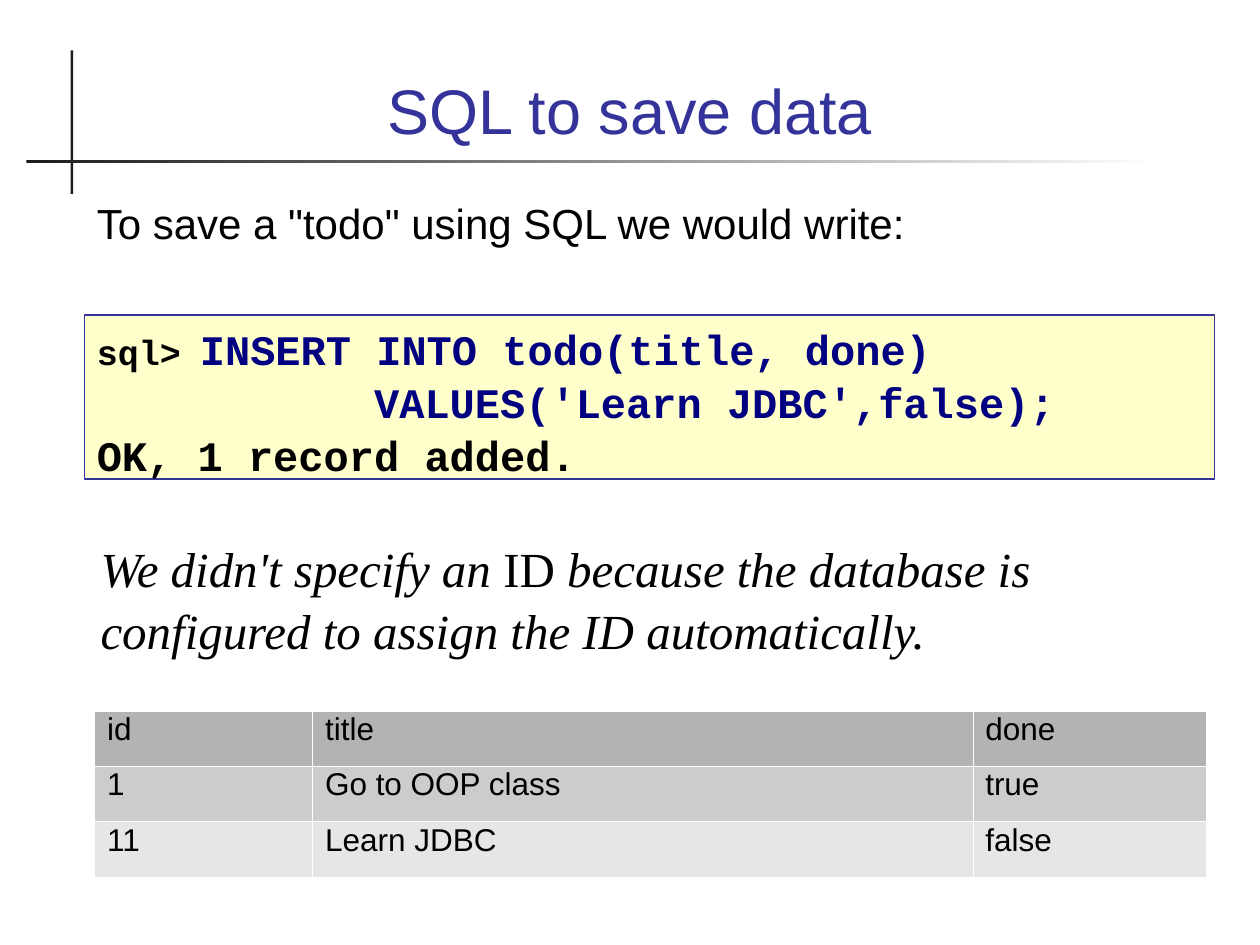
from lxml import etree
from pptx import Presentation
from pptx.dml.color import RGBColor
from pptx.enum.shapes import MSO_SHAPE
from pptx.enum.text import MSO_ANCHOR, PP_ALIGN
from pptx.oxml.ns import qn
from pptx.util import Inches, Pt

RECTANGLE = MSO_SHAPE.RECTANGLE
TOP, BOTTOM = MSO_ANCHOR.TOP, MSO_ANCHOR.BOTTOM
LEFT, CENTER = PP_ALIGN.LEFT, PP_ALIGN.CENTER

WHITE = RGBColor(0xFF, 0xFF, 0xFF)
BLACK = RGBColor(0, 0, 0)
CHARCOAL = RGBColor(0x1C, 0x1C, 0x1C)
INDIGO = RGBColor(0x33, 0x33, 0x99)
NAVY = RGBColor(0, 0, 0x80)
CREAM = RGBColor(0xFF, 0xFF, 0xCC)
ROW_FILLS = [RGBColor(level, level, level) for level in (0xB3, 0xCC, 0xE6)]

SANS, MONO, SERIF = "Arial", "Courier New", "Times New Roman"


class SlideWriter:
    line_spacing = 1.05
    table_spacing = 0.83
    border_width = Pt(0.06)

    def __init__(self, page):
        self.page = page

    def bar(self, left, top, width, height, fades=False):
        box = self.page.shapes.add_shape(
            RECTANGLE, Inches(left), Inches(top), Inches(width), Inches(height))
        box.shadow.inherit = False
        box.line.fill.background()
        if fades:
            box.fill.gradient()
            box.fill.gradient_angle = 0
            for stop, color in zip(box.fill.gradient_stops, (CHARCOAL, WHITE)):
                stop.color.rgb = color
        else:
            box.fill.solid()
            box.fill.fore_color.rgb = CHARCOAL

    def text(self, left, top, width, height, paragraphs, font, size,
             color=BLACK, align=LEFT, anchor=TOP, bold=False):
        """Each paragraph is a list of (words, font overrides) spans."""
        box = self.page.shapes.add_textbox(
            Inches(left), Inches(top), Inches(width), Inches(height))
        frame = box.text_frame
        frame.word_wrap = True
        frame.vertical_anchor = anchor
        for index, spans in enumerate(paragraphs):
            para = frame.paragraphs[0] if index == 0 else frame.add_paragraph()
            para.alignment = align
            para.line_spacing = self.line_spacing
            self.style(para.font, font, size, color, bold)
            for words, overrides in spans:
                span = para.add_run()
                span.text = words
                self.style(span.font, **overrides)
        return box

    def code(self, left, top, width, height, paragraphs):
        box = self.text(left, top, width, height, paragraphs, MONO, 24, bold=True)
        box.fill.solid()
        box.fill.fore_color.rgb = CREAM
        box.line.color.rgb = INDIGO
        box.line.width = Pt(1)

    def table(self, left, top, widths, row_height, rows):
        frame = self.page.shapes.add_table(
            len(rows), len(widths), Inches(left), Inches(top),
            Inches(sum(widths)), Inches(row_height * len(rows)))
        table = frame.table
        table.first_row = table.horz_banding = False
        for column, width in zip(table.columns, widths):
            column.width = Inches(width)
        for row, values, fill in zip(table.rows, rows, ROW_FILLS):
            row.height = Inches(row_height)
            for cell, value in zip(row.cells, values):
                self.borders(cell)
                cell.fill.solid()
                cell.fill.fore_color.rgb = fill
                cell.margin_left = cell.margin_right = Inches(0.1)
                cell.margin_top = cell.margin_bottom = Inches(0.05)
                cell.text = value
                para = cell.text_frame.paragraphs[0]
                para.line_spacing = self.table_spacing
                self.style(para.font, SANS, 18, BLACK, False)

    def borders(self, cell):
        properties = cell._tc.get_or_add_tcPr()
        for side in ("a:lnL", "a:lnR", "a:lnT", "a:lnB"):
            line = etree.SubElement(properties, qn(side), w=str(self.border_width))
            fill = etree.SubElement(line, qn("a:solidFill"))
            etree.SubElement(fill, qn("a:srgbClr"), val=str(WHITE))

    @staticmethod
    def style(target, font=None, size=None, color=None, bold=None, italic=None):
        """Set only the font values that are given."""
        if font:
            target.name = font
        if size:
            target.size = Pt(size)
        if color is not None:
            target.color.rgb = color
        if bold is not None:
            target.bold = bold
        if italic is not None:
            target.italic = italic


def main():
    deck = Presentation()
    deck.slide_width, deck.slide_height = Inches(10), Inches(7.5)
    writer = SlideWriter(deck.slides.add_slide(deck.slide_layouts[6]))

    writer.bar(0.56, 0.4, 0.02, 1.14)
    writer.bar(0.21, 1.27, 8.99, 0.02, fades=True)
    writer.text(0.67, 0.28, 8.66, 0.94, [[("SQL to save data", {})]],
                SANS, 36, INDIGO, CENTER, BOTTOM)
    writer.text(0.67, 1.5, 8.66, 0.9,
                [[('To save a "todo" using SQL we would write:', {})]], SANS, 24)

    statement = {"color": NAVY}
    writer.code(0.67, 2.5, 8.97, 1.3, [
        [("sql>", {"size": 20}), (" ", {"size": 18}),
         ("INSERT INTO todo(title, done)", statement)],
        [("           VALUES('Learn JDBC',false);", statement)],
        [("OK, 1 record added.", {})],
    ])

    slanted = {"italic": True}
    writer.text(0.7, 4.2, 8.8, 1.03, [[
        ("We didn't specify an ", slanted),
        ("ID", {}),
        (" because the database is configured to assign the ID automatically.",
         slanted),
    ]], SERIF, 28)

    writer.table(0.75, 5.64, (1.73, 5.24, 1.85), 0.44, [
        ("id", "title", "done"),
        ("1", "Go to OOP class", "true"),
        ("11", "Learn JDBC", "false"),
    ])
    deck.save("out.pptx")


if __name__ == "__main__":
    main()
